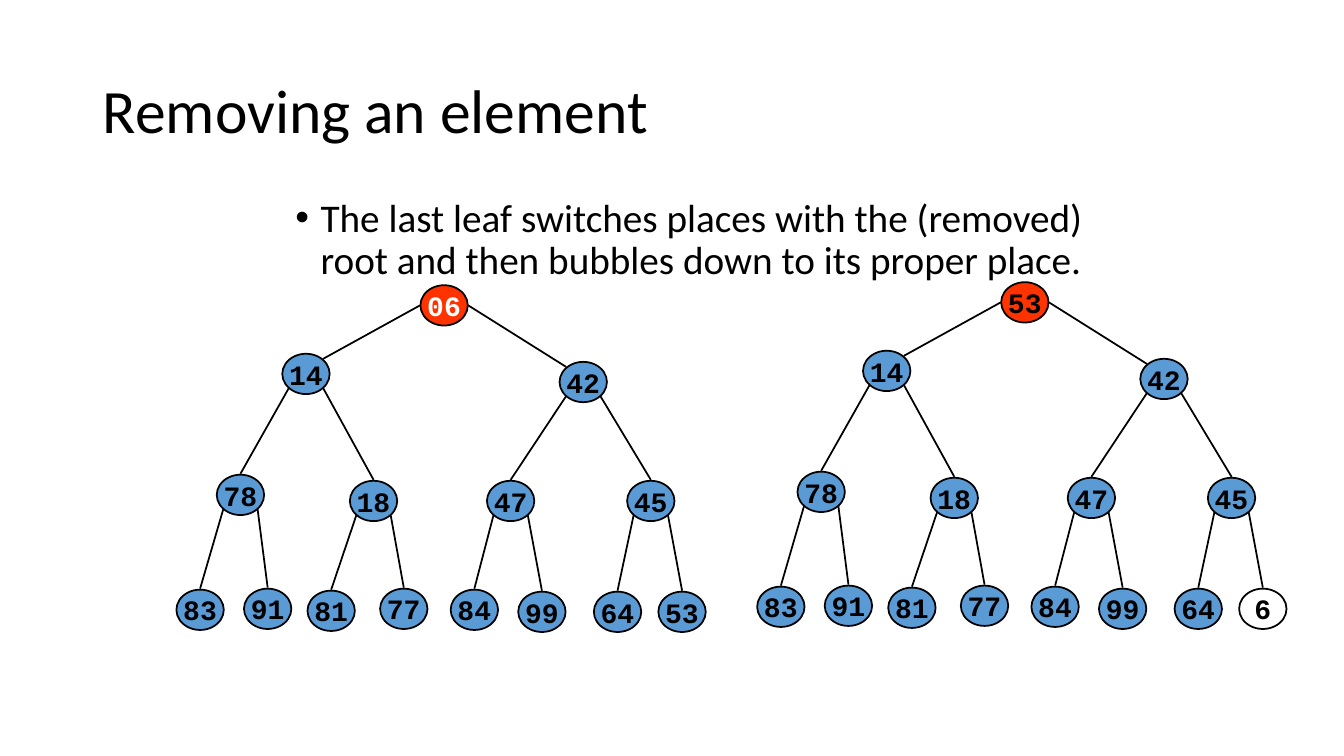
import pptx
import pptx.dml.color
import pptx.enum.shapes
import pptx.enum.text
import pptx.oxml
import pptx.oxml.ns
import pptx.util

Inches = pptx.util.Inches
Pt = pptx.util.Pt
Align = pptx.enum.text.PP_ALIGN
Anchor = pptx.enum.text.MSO_ANCHOR

WIDE, HIGH = 0.47, 0.4
BLACK, WHITE, RED, BLUE = "000000", "FFFFFF", "FF3300", "5B9BD5"

# Left and top of each node, level by level; children of i are 2i+1 and 2i+2
SPOTS = [
    (4.17, 2.83),
    (2.8, 3.51), (5.55, 3.59),
    (2.15, 4.71), (3.47, 4.77), (4.83, 4.77), (6.22, 4.77),
    (1.75, 5.85), (2.42, 5.84), (3.05, 5.86), (3.77, 5.84),
    (4.47, 5.85), (5.14, 5.87), (5.89, 5.87), (6.53, 5.87),
]
INNER = "14 42 78 18 47 45 83 91 81 77 84 99 64".split()


def color(text):
    return pptx.dml.color.RGBColor.from_string(text)


def apply(item, values):
    """Set each attribute named in values."""
    for name, value in values.items():
        setattr(item, name, value)


def ends(i):
    """Return both ends of the edge from node i up to its parent."""
    up = (i - 1) // 2
    side = -1 if i % 2 else 1
    left, top = SPOTS[up]
    mid = left + WIDE / 2
    if up == 0:
        start = mid + side * 0.24, top + HIGH / 2
    else:
        start = mid + side * 0.17, top + 0.34
    left, top = SPOTS[i]
    mid = left + WIDE / 2
    end = (mid - side * 0.17, top + 0.05) if up == 0 else (mid, top - 0.01)
    return start, end


class Deck:
    def __init__(self):
        self.show = pptx.Presentation()
        apply(self.show, {"slide_width": Inches(13.33), "slide_height": Inches(7.5)})
        self.slide = self.show.slides.add_slide(self.show.slide_layouts[1])
        self.text_font = {"name": "Calibri", "bold": False}
        self.node_font = {"name": "Courier New", "size": Pt(20), "bold": True}

    def fill(self, holder, text, box, size, anchor):
        """Place a placeholder and write its one paragraph."""
        for name, value in zip(("left", "top", "width", "height"), box):
            setattr(holder, name, Inches(value))
        frame = holder.text_frame
        frame.text = text
        apply(frame, {"word_wrap": True, "vertical_anchor": anchor,
                      "auto_size": pptx.enum.text.MSO_AUTO_SIZE.NONE})
        para = frame.paragraphs[0]
        apply(para, {"alignment": Align.LEFT, "line_spacing": 0.9,
                     "space_before": Pt(0)})
        font = para.runs[0].font
        apply(font, {**self.text_font, "size": Pt(size)})
        font.color.rgb = color(BLACK)
        return para

    def title(self, text):
        self.fill(self.slide.shapes.title, text, (0.92, 0.4, 11.5, 1.45), 44,
                  Anchor.MIDDLE)

    def body(self, text):
        para = self.fill(self.slide.placeholders[1], text,
                         (2.83, 1.92, 8.33, 1.17), 28, Anchor.TOP)
        props = para._p.get_or_add_pPr()
        props.set("marL", str(Inches(0.25)))
        props.set("indent", str(Inches(-0.25)))
        for tag, key, value in (("a:buFont", "typeface", "Arial"),
                                ("a:buChar", "char", "•")):
            mark = pptx.oxml.parse_xml(
                f"<{tag} {pptx.oxml.ns.nsdecls('a')} {key}=\"{value}\"/>")
            props.append(mark)

    def stroke(self, item):
        item.line.color.rgb = color(BLACK)
        item.line.width = Pt(1.25)

    def edge(self, group, start, end):
        line = group.shapes.add_connector(
            pptx.enum.shapes.MSO_CONNECTOR.STRAIGHT,
            *(Inches(v) for v in (*start, *end)))
        self.stroke(line)
        line._element.spPr.append(pptx.oxml.parse_xml(
            f"<a:effectLst {pptx.oxml.ns.nsdecls('a')}/>"))

    def node(self, group, text, spot, back, ink):
        oval = group.shapes.add_shape(
            pptx.enum.shapes.MSO_SHAPE.OVAL,
            *(Inches(v) for v in (*spot, WIDE, HIGH)))
        oval.shadow.inherit = False
        oval.fill.solid()
        oval.fill.fore_color.rgb = color(back)
        self.stroke(oval)
        frame = oval.text_frame
        frame.text = text
        apply(frame, {"word_wrap": False, "vertical_anchor": Anchor.MIDDLE})
        para = frame.paragraphs[0]
        para.alignment = Align.CENTER
        font = para.runs[0].font
        apply(font, self.node_font)
        font.color.rgb = color(ink)

    def tree(self, root, last, ink, tail, dx=0, dy=0):
        """Draw a heap moved by dx, dy; ink colours the root text, tail the last leaf."""
        group = self.slide.shapes.add_group_shape()
        for i in range(1, len(SPOTS)):
            self.edge(group, *((x + dx, y + dy) for x, y in ends(i)))
        names = [root, *INNER, last]
        backs = [RED, *[BLUE] * len(INNER), tail]
        for i, (x, y) in enumerate(SPOTS):
            self.node(group, names[i], (x + dx, y + dy), backs[i],
                      BLACK if i else ink)


def main():
    deck = Deck()
    deck.title("Removing an element")
    deck.body("The last leaf switches places with the (removed) root "
              "and then bubbles down to its proper place.")
    deck.tree("06", "53", WHITE, BLUE)
    deck.tree("53", "6", BLACK, WHITE, 5.76, -0.03)
    deck.show.save("out.pptx")


if __name__ == "__main__":
    main()
